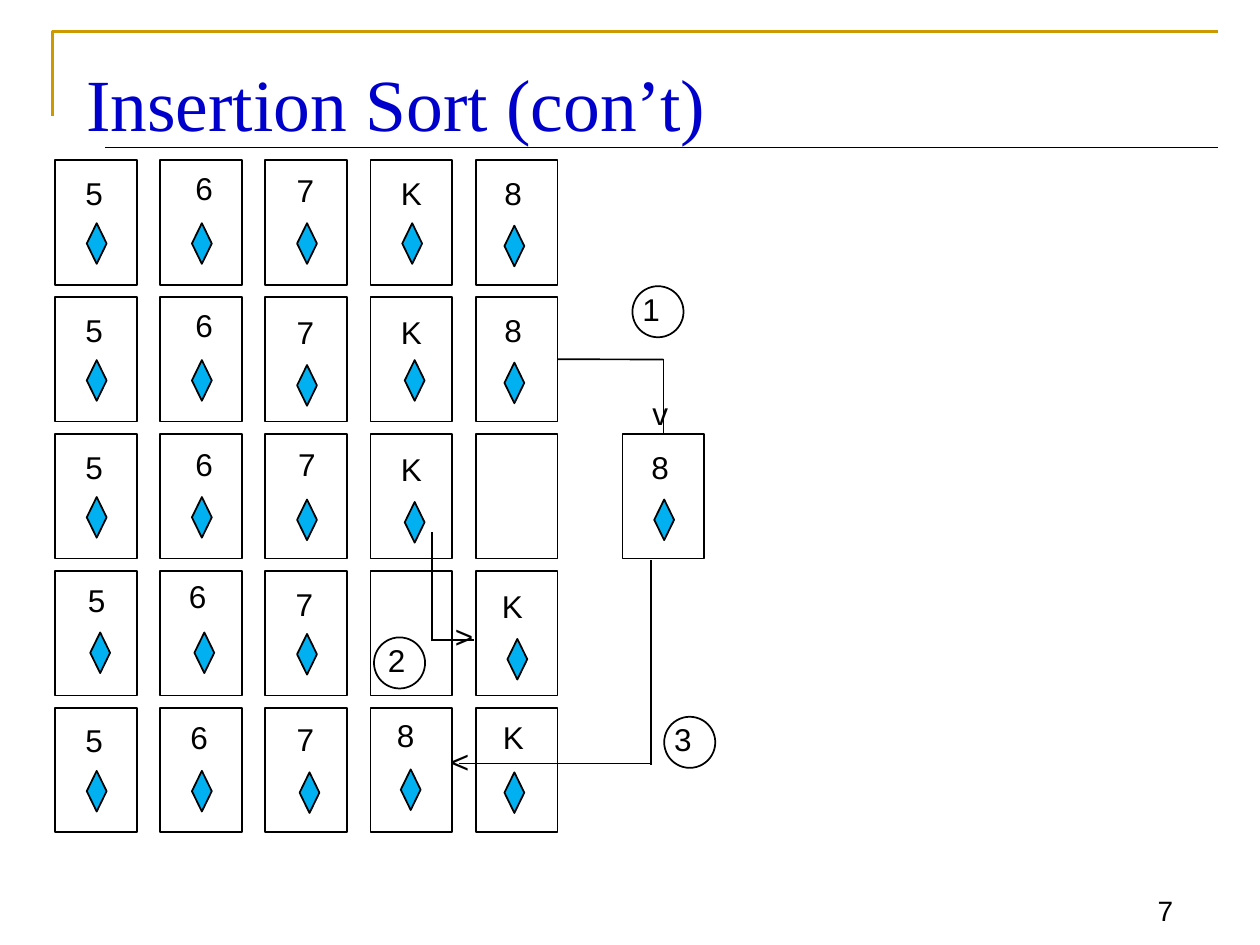
import pptx
import pptx.dml.color
import pptx.enum.shapes
import pptx.enum.text
import pptx.util
from lxml import etree
from pptx.oxml.ns import qn

Cm = pptx.util.Cm
Pt = pptx.util.Pt
Shapes = pptx.enum.shapes.MSO_SHAPE
Anchor = pptx.enum.text.MSO_ANCHOR
AutoSize = pptx.enum.text.MSO_AUTO_SIZE
Align = pptx.enum.text.PP_ALIGN

BLACK = pptx.dml.color.RGBColor(0x00, 0x00, 0x00)
GOLD = pptx.dml.color.RGBColor(0xCC, 0x99, 0x00)
TITLE_BLUE = pptx.dml.color.RGBColor(0x00, 0x00, 0xCC)
SUIT_BLUE = pptx.dml.color.RGBColor(0x00, 0xB0, 0xF0)

# All lengths in centimetres.
CARD_WIDTH, CARD_HEIGHT = 1.65, 2.51
GRID_LEFT, GRID_TOP = 1.11, 3.23
COLUMN_STEP, ROW_STEP = 2.12, 2.76
HELD_LEFT = 12.55

# Each card: rank, offset of the rank, offset of the suit; None is an empty place.
ROWS = [
    [("5", (0.36, 0.15), (0.64, 1.27)), ("6", (0.46, 0.05), (0.64, 1.27)),
     ("7", (0.38, 0.1), (0.64, 1.27)), ("K", (0.36, 0.15), (0.64, 1.27)),
     ("8", (0.33, 0.15), (0.58, 1.32))],
    [("5", (0.36, 0.15), (0.64, 1.27)), ("6", (0.46, 0.05), (0.64, 1.27)),
     ("7", (0.38, 0.2), (0.64, 1.37)), ("K", (0.36, 0.2), (0.69, 1.27)),
     ("8", (0.33, 0.15), (0.58, 1.32))],
    [("5", (0.36, 0.15), (0.64, 1.27)), ("6", (0.46, 0.1), (0.64, 1.27)),
     ("7", (0.41, 0.1), (0.64, 1.32)), ("K", (0.36, 0.2), (0.69, 1.37)),
     None],
    [("5", (0.41, 0.08), (0.71, 1.24)), ("6", (0.33, 0), (0.69, 1.24)),
     ("7", (0.36, 0.15), (0.64, 1.27)), None,
     ("K", (0.28, 0.2), (0.64, 1.37))],
    [("5", (0.36, 0.15), (0.64, 1.27)), ("6", (0.36, 0.08), (0.64, 1.27)),
     ("7", (0.38, 0.13), (0.69, 1.3)), ("8", (0.28, 0.03), (0.61, 1.24)),
     ("K", (0.3, 0.08), (0.58, 1.3))],
]
HELD_CARD = ("8", (0.33, 0.15), (0.64, 1.32))

# Each step: number, left and top of the circle, horizontal offset of the number.
STEPS = [("1", 12.75, 5.77, -0.05), ("2", 7.54, 12.85, 0.03), ("3", 13.39, 14.45, -0.05)]
ARROW_TIPS = [("v", 12.9, 7.82), (">", 8.92, 12.32), ("<", 8.84, 14.83)]
PLAIN_LINES = [
    ((8.71, 12.93), (8.71, 10.72)), ((8.71, 12.9), (9.55, 12.9)),
    ((13.13, 15.42), (13.13, 11.28)), ((9.25, 15.39), (13.11, 15.39)),
]


class SlideBuilder:
    def __init__(self, slide, font="Arial", size=18, line_width=1):
        self.slide = slide
        self.font = font
        self.size = size
        self.line_width = line_width

    def format_text(self, text_frame, text, font, size, color):
        text_frame.text = text
        run_font = text_frame.paragraphs[0].runs[0].font
        run_font.name = font
        run_font.size = Pt(size)
        run_font.color.rgb = color

    def title(self, text):
        shape = self.slide.shapes.title
        shape.left, shape.top = Cm(1.48), Cm(0.85)
        shape.width, shape.height = Cm(23.07), Cm(1.9)
        text_frame = shape.text_frame
        self.format_text(text_frame, text, "Times New Roman", 42, TITLE_BLUE)
        text_frame.auto_size = AutoSize.NONE
        text_frame.vertical_anchor = Anchor.TOP
        text_frame.margin_top = Cm(0.32)
        text_frame.paragraphs[0].alignment = Align.LEFT

    def page_number(self, text):
        box = self.slide.shapes.add_textbox(Cm(22.23), Cm(17.58), Cm(1.67), Cm(1.24))
        text_frame = box.text_frame
        self.format_text(text_frame, text, self.font, 16, BLACK)
        text_frame.word_wrap = True
        text_frame.vertical_anchor = Anchor.BOTTOM
        text_frame.paragraphs[0].alignment = Align.RIGHT

    def label(self, text, left, top):
        box = self.slide.shapes.add_textbox(Cm(left), Cm(top), Cm(0.97), Cm(1.27))
        text_frame = box.text_frame
        self.format_text(text_frame, text, self.font, self.size, BLACK)
        text_frame.word_wrap = False
        text_frame.auto_size = AutoSize.SHAPE_TO_FIT_TEXT

    def outline(self, shape, color, width, fill=None):
        shape.shadow.inherit = False
        shape.line.color.rgb = color
        shape.line.width = Pt(width)
        if fill is None:
            shape.fill.background()
        else:
            shape.fill.solid()
            shape.fill.fore_color.rgb = fill

    def shape(self, kind, left, top, width, height, fill=None):
        shape = self.slide.shapes.add_shape(kind, Cm(left), Cm(top), Cm(width), Cm(height))
        self.outline(shape, BLACK, self.line_width, fill)
        return shape

    def card(self, card, left, top):
        frame = self.shape(Shapes.RECTANGLE, left, top, CARD_WIDTH, CARD_HEIGHT)
        if card:
            rank, (rank_x, rank_y), (suit_x, suit_y) = card
            self.label(rank, left + rank_x, top + rank_y)
            self.shape(Shapes.DIAMOND, left + suit_x, top + suit_y, 0.4, 0.82, SUIT_BLUE)
        return frame

    def step(self, number, left, top, number_offset):
        self.shape(Shapes.OVAL, left, top, 1.03, 1.03)
        self.label(number, left + number_offset, top - 0.05)

    def line(self, start, end, width=None):
        connector = self.slide.shapes.add_connector(
            pptx.enum.shapes.MSO_CONNECTOR.STRAIGHT, *map(Cm, start + end))
        connector.line.color.rgb = BLACK
        connector.line.width = Pt(width or self.line_width)
        etree.SubElement(connector._element.spPr, qn("a:effectLst"))
        return connector

    def corner_rule(self):
        """Draw the gold rule along the top and down the left edge."""
        builder = self.slide.shapes.build_freeform(Cm(1.06), Cm(2.33))
        builder.add_line_segments([(Cm(1.06), Cm(0.64)), (Cm(24.56), Cm(0.64))], close=False)
        self.outline(builder.convert_to_shape(), GOLD, 1.5)


def main():
    presentation = pptx.Presentation()
    presentation.slide_width, presentation.slide_height = Cm(25.4), Cm(19.05)
    slide = presentation.slides.add_slide(presentation.slide_layouts[5])
    builder = SlideBuilder(slide)

    builder.corner_rule()
    builder.line((2.12, 2.97), (24.56, 2.97), 0.75)
    builder.page_number("7")
    builder.title("Insertion Sort (con’t)")

    frames = [
        [builder.card(card, GRID_LEFT + column * COLUMN_STEP, GRID_TOP + row * ROW_STEP)
         for column, card in enumerate(cards)]
        for row, cards in enumerate(ROWS)
    ]
    held_top = GRID_TOP + 2 * ROW_STEP
    held_frame = builder.card(HELD_CARD, HELD_LEFT, held_top)

    corner = (HELD_LEFT + CARD_WIDTH / 2, GRID_TOP + ROW_STEP + CARD_HEIGHT / 2)
    card_right = GRID_LEFT + 4 * COLUMN_STEP + CARD_WIDTH
    builder.line((card_right, corner[1]), corner).begin_connect(frames[1][4], 3)
    builder.line(corner, (corner[0], held_top)).end_connect(held_frame, 0)
    for start, end in PLAIN_LINES:
        builder.line(start, end)
    for tip in ARROW_TIPS:
        builder.label(*tip)
    for step in STEPS:
        builder.step(*step)

    presentation.save("out.pptx")


if __name__ == "__main__":
    main()
